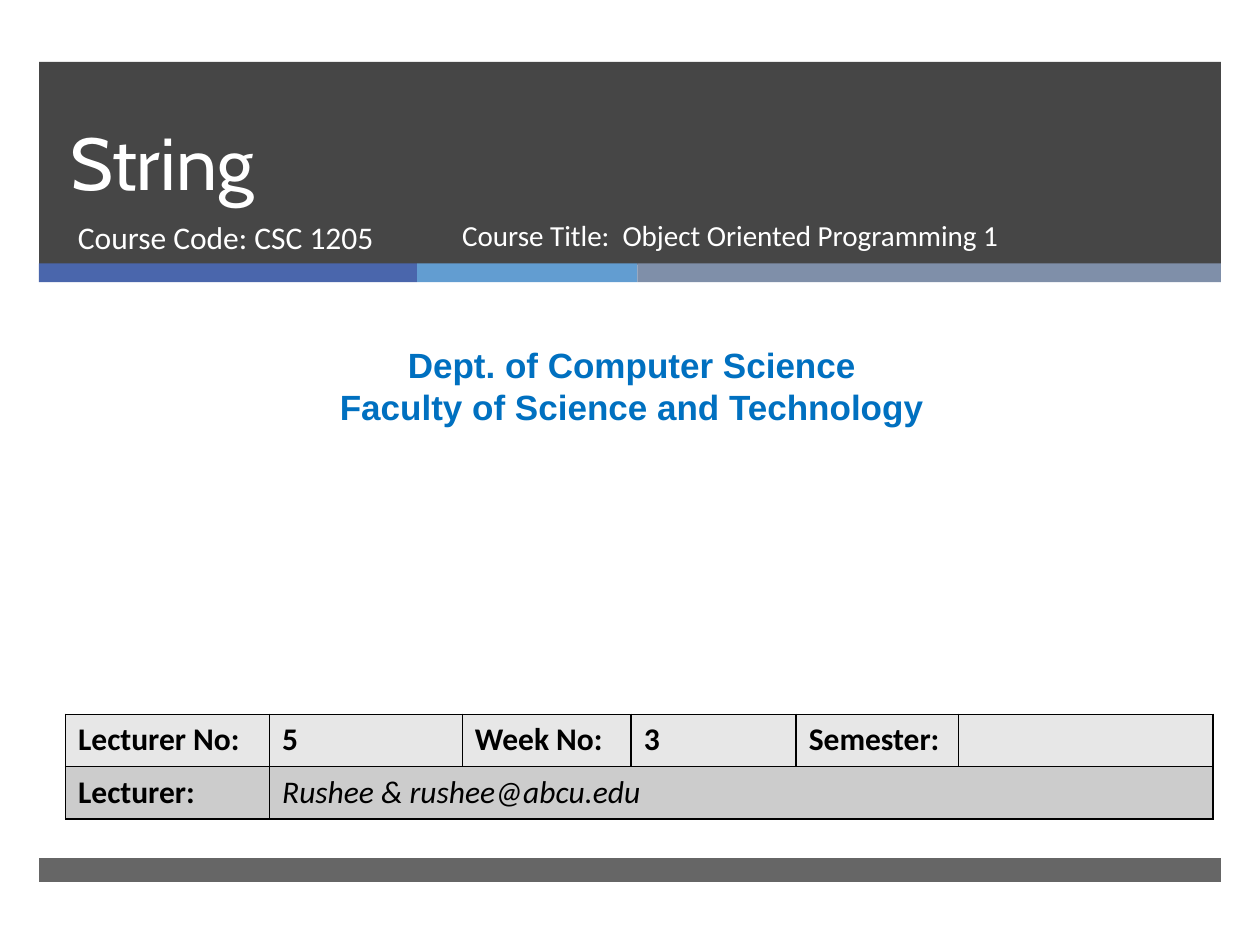
import dataclasses

import pptx
import pptx.dml.color
import pptx.enum.shapes
import pptx.enum.text
import pptx.oxml
import pptx.oxml.ns
import pptx.util

Inches = pptx.util.Inches
Pt = pptx.util.Pt
Anchor = pptx.enum.text.MSO_ANCHOR
Align = pptx.enum.text.PP_ALIGN


@dataclasses.dataclass(frozen=True)
class Theme:
    charcoal: str = "262626"
    accents: tuple = ("4A66AC", "629DD1", "7F8FA9")
    light: str = "FFFFFF"
    ink: str = "000000"
    department: str = "0070C0"
    rows: tuple = ("E7E7E7", "CCCCCC")
    heading: str = "Cabin"
    body: str = "Calibri"
    plain: str = "Arial"
    title_size: float = 42
    department_size: float = 20
    body_size: float = 18
    course_size: float = 16.6


THEME = Theme()


def rgb(code):
    return pptx.dml.color.RGBColor.from_string(code)


def apply(target, formats):
    for name, value in formats.items():
        setattr(target, name, value)


def write(frame, lines, color, font, paragraph=None):
    apply(frame, {"word_wrap": True, "text": "\n".join(lines)})
    for line in frame.paragraphs:
        apply(line, paragraph or {})
        for run in line.runs:
            apply(run.font, font)
            run.font.color.rgb = rgb(color)


def add_text(slide, box, lines, color, font, paragraph=None, anchor=Anchor.TOP):
    frame = slide.shapes.add_textbox(*map(Inches, box)).text_frame
    write(frame, lines, color, font, paragraph)
    frame.vertical_anchor = anchor


def add_band(slide, box, color, opacity=100):
    band = slide.shapes.add_shape(
        pptx.enum.shapes.MSO_SHAPE.RECTANGLE, *map(Inches, box))
    band.shadow.inherit = False
    band.fill.solid()
    band.fill.fore_color.rgb = rgb(color)
    band.line.fill.background()
    if opacity < 100:
        swatch = band.fill._xPr.find(".//" + pptx.oxml.ns.qn("a:srgbClr"))
        alpha = pptx.oxml.parse_xml(
            f'<a:alpha {pptx.oxml.ns.nsdecls("a")} val="{opacity * 1000}"/>')
        swatch.append(alpha)


def add_header(slide, box):
    left, top, width, height = box
    add_band(slide, box, THEME.charcoal, 85)
    stripe_left = left
    for stripe_width, color in zip((3, 1.75, 4.63), THEME.accents):
        add_band(slide, (stripe_left, top + 1.6, stripe_width, 0.15), color)
        stripe_left += stripe_width
    add_text(slide, (left + 0.15, top, 8.54, 1.19), ["String"], THEME.light,
             {"name": THEME.heading, "size": Pt(THEME.title_size)},
             {"line_spacing": Pt(46)}, Anchor.BOTTOM)
    courses = (
        (0.21, 3.05, "Course Code: CSC 1205", THEME.body_size),
        (3.26, 4.61, "Course Title:  Object Oriented Programming 1", THEME.course_size),
    )
    for offset, course_width, course, size in courses:
        add_text(slide, (left + offset, top + 1.19, course_width, 0.53), [course],
                 THEME.light, {"name": THEME.body, "size": Pt(size)})


def add_department(slide, box):
    add_text(slide, box,
             ["Dept. of Computer Science", "Faculty of Science and Technology"],
             THEME.department,
             {"name": THEME.plain, "size": Pt(THEME.department_size), "bold": True},
             {"alignment": Align.CENTER})


def add_borders(cell):
    properties = cell._tc.get_or_add_tcPr()
    for side in "LRTB":
        properties.append(pptx.oxml.parse_xml(
            f'<a:ln{side} {pptx.oxml.ns.nsdecls("a")} w="{Pt(1)}"><a:solidFill>'
            f'<a:srgbClr val="{THEME.ink}"/></a:solidFill></a:ln{side}>'))


def add_lecture_table(slide, box):
    details = (
        ("Lecturer No:", "5", "Week No:", "3", "Semester:", ""),
        ("Lecturer:", "Rushee & rushee@abcu.edu", "", "", "", ""),
    )
    table = slide.shapes.add_table(2, 6, *map(Inches, box)).table
    for column, width in zip(table.columns, (1.62, 1.53, 1.34, 1.31, 1.29, 2.02)):
        column.width = Inches(width)
    for row_index, (row, fill) in enumerate(zip(details, THEME.rows)):
        for column_index, detail in enumerate(row):
            cell = table.cell(row_index, column_index)
            add_borders(cell)
            cell.fill.solid()
            cell.fill.fore_color.rgb = rgb(fill)
            is_lecturer = row_index == 1 and column_index == 1
            write(cell.text_frame, [detail], THEME.ink,
                  {"name": THEME.body, "size": Pt(THEME.body_size),
                   "bold": not is_lecturer, "italic": is_lecturer})
    table.cell(1, 1).merge(table.cell(1, 5))


def add_footer(slide, box):
    add_band(slide, box, THEME.charcoal, 70)


def main():
    deck = pptx.Presentation()
    apply(deck, {"slide_width": Inches(10), "slide_height": Inches(7.5)})
    slide = deck.slides.add_slide(deck.slide_layouts[6])
    add_header(slide, (0.31, 0.49, 9.38, 1.61))
    add_footer(slide, (0.31, 6.81, 9.38, 0.19))
    add_department(slide, (0.08, 2.68, 9.87, 0.77))
    add_lecture_table(slide, (0.52, 5.67, 9.11, 0.83))
    deck.save("out.pptx")


if __name__ == "__main__":
    main()
